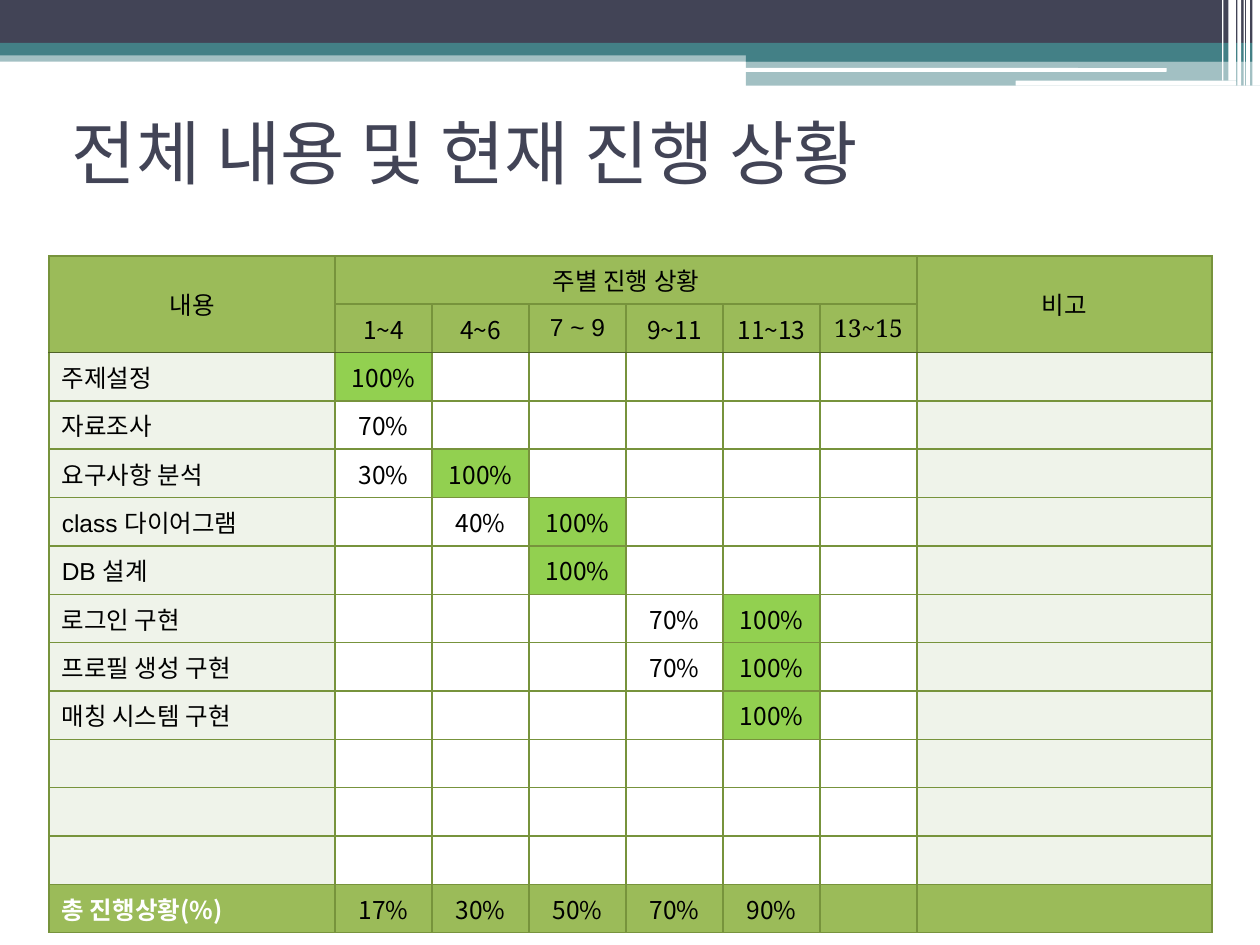
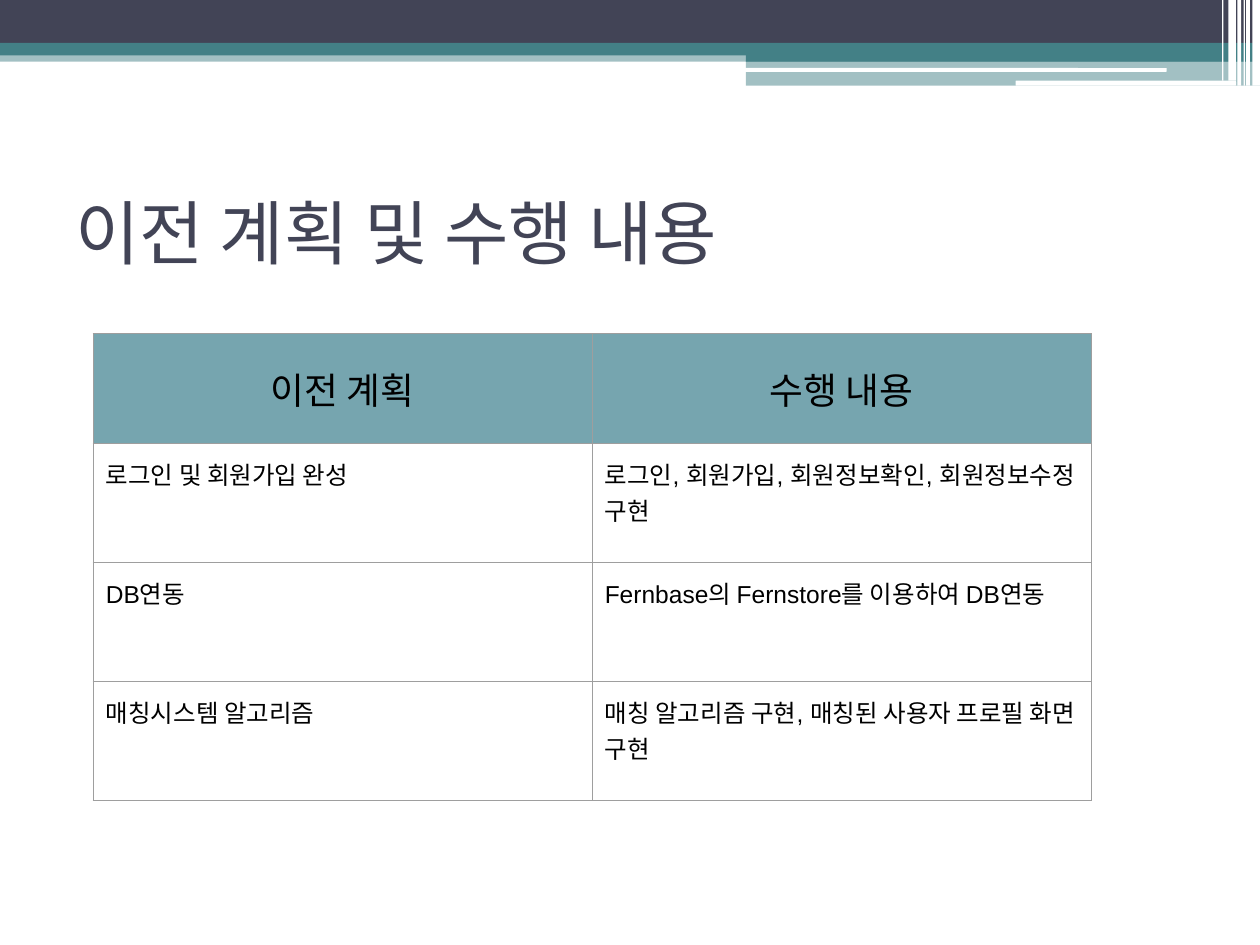
from lxml import etree
from pptx import Presentation
from pptx.dml.color import RGBColor
from pptx.enum.shapes import MSO_SHAPE
from pptx.enum.text import MSO_ANCHOR, MSO_AUTO_SIZE, PP_ALIGN
from pptx.oxml.ns import qn
from pptx.util import Inches, Pt

RECT, ROUND = MSO_SHAPE.RECTANGLE, MSO_SHAPE.ROUNDED_RECTANGLE
LEFT, CENTER = PP_ALIGN.LEFT, PP_ALIGN.CENTER
TOP, MIDDLE = MSO_ANCHOR.TOP, MSO_ANCHOR.MIDDLE

# Colours
NAVY = RGBColor(0x42, 0x44, 0x56)
TEAL = RGBColor(0x43, 0x80, 0x86)
WHITE = RGBColor(0xFF, 0xFF, 0xFF)
BLACK = RGBColor(0x00, 0x00, 0x00)
OLIVE = RGBColor(0x9B, 0xBB, 0x59)
OLIVE_LINE = RGBColor(0x77, 0x93, 0x3C)
OLIVE_DARK = RGBColor(0x4F, 0x62, 0x28)
PALE_GREEN = RGBColor(0xEF, 0xF3, 0xEA)
DONE_GREEN = RGBColor(0x92, 0xD0, 0x50)
HEADER_TEAL = RGBColor(0x76, 0xA5, 0xAF)
GREY_LINE = RGBColor(0x9E, 0x9E, 0x9E)

SANS, KOREAN, SERIF, ARIAL = "Noto Sans", "Noto Sans CJK KR", "Noto Serif", "Arial"
NO_TABLE_STYLE = "{2D5ABB26-0587-4C30-8999-92F81FD0307C}"

SLIDE_W, SLIDE_H = Inches(10), Inches(7.5)
TITLE_ONLY = 5

# Top decoration: shape, left, top, width, height, colour, opacity in percent
BANDS = [
    (RECT, 0, 0.4, 10, 0.09, TEAL, 49),
    (RECT, 0, 0, 10, 0.34, NAVY, 100),
    (RECT, 0, 0.34, 10, 0.1, TEAL, 100),
    (RECT, 5.92, 0.39, 4.08, 0.1, TEAL, 100),
    (RECT, 5.92, 0.48, 4.08, 0.2, TEAL, 49),
    (ROUND, 5.91, 0.54, 3.35, 0.03, WHITE, 100),
    (ROUND, 8.06, 0.64, 1.75, 0.04, WHITE, 100),
]
# White stripes at the right end: left, width, height
STRIPES = [(9.94, 0.06, 0.68), (9.89, 0.03, 0.68), (9.87, 0.01, 0.68),
           (9.82, 0.03, 0.68), (9.75, 0.06, 0.64), (9.7, 0.01, 0.64)]

# Progress table
WEEKS = ["1~4", "4~6", "7 ~ 9", "9~11", "11~13", "13~15"]
WEEK_FONTS = {"7 ~ 9": ARIAL, "13~15": SERIF}
TASKS = [  # task and its progress by week column
    ("주제설정", {1: "100%"}),
    ("자료조사", {1: "70%"}),
    ("요구사항 분석", {1: "30%", 2: "100%"}),
    ("class 다이어그램", {2: "40%", 3: "100%"}),
    ("DB 설계", {3: "100%"}),
    ("로그인 구현", {4: "70%", 5: "100%"}),
    ("프로필 생성 구현", {4: "70%", 5: "100%"}),
    ("매칭 시스템 구현", {5: "100%"}),
    ("", {}), ("", {}), ("", {}),
]
TOTALS = ["17%", "30%", "50%", "70%", "90%", "", ""]

# Plan table
PLANS = [
    ("이전 계획", "수행 내용"),
    ("로그인 및 회원가입 완성", "로그인, 회원가입, 회원정보확인, 회원정보수정 구현"),
    ("DB연동", "Fernbase의 Fernstore를 이용하여 DB연동"),
    ("매칭시스템 알고리즘", "매칭 알고리즘 구현, 매칭된 사용자 프로필 화면 구현"),
]


def apply(target, formats):
    for name, value in formats.items():
        setattr(target, name, value)


def set_east_asian(properties):
    etree.SubElement(properties, qn("a:ea"), typeface=KOREAN)


def write(paragraph, text, size, font, color, bold=False):
    """Put one formatted run in a paragraph, or only its size if empty."""
    if not text:
        etree.SubElement(paragraph._p, qn("a:endParaRPr"), sz=str(size * 100))
        return
    run = paragraph.add_run()
    run.text = text
    apply(run.font, {"size": Pt(size), "name": font, "bold": bold})
    run.font.color.rgb = color
    set_east_asian(run.font._element)


def add_band(slide, kind, left, top, width, height, color, opacity=100):
    band = slide.shapes.add_shape(kind, *map(Inches, (left, top, width, height)))
    band.shadow.inherit = False
    band.fill.solid()
    band.fill.fore_color.rgb = color
    band.line.fill.background()
    if opacity < 100:
        solid = band.element.spPr.find(qn("a:solidFill"))
        etree.SubElement(solid[0], qn("a:alpha"), val=str(opacity * 1000))
    return band


def decorate_layout(layout, slide):
    """Draw the bands once and hand them over to the shared layout."""
    stripes = [(RECT, left, 0, width, height, WHITE)
               for left, width, height in STRIPES]
    for spec in BANDS + stripes:
        layout.shapes.element.append(add_band(slide, *spec).element)


def set_title(slide, text, left, top):
    title = slide.shapes.title
    apply(title, {"left": Inches(left), "top": Inches(top),
                  "width": int(SLIDE_W * 0.9), "height": Inches(1.17)})
    frame = title.text_frame
    apply(frame, {"vertical_anchor": MIDDLE, "word_wrap": True,
                  "auto_size": MSO_AUTO_SIZE.NONE})
    frame.paragraphs[0].alignment = LEFT
    write(frame.paragraphs[0], text, 40, SANS, NAVY)


def add_grid(slide, left, top, columns, rows):
    """Add an unstyled table with the given column widths and row heights."""
    frame = slide.shapes.add_table(
        len(rows), len(columns), Inches(left), Inches(top),
        Inches(sum(columns)), Inches(sum(rows)))
    table = frame.table
    apply(table, {"first_row": False, "horz_banding": False})
    for style in frame.element.iter(qn("a:tableStyleId")):
        style.text = NO_TABLE_STYLE
    for column, width in zip(table.columns, columns):
        column.width = Inches(width)
    for row, height in zip(table.rows, rows):
        row.height = Inches(height)
    return table


def set_borders(cell, color, points, **sides):
    """Line all four sides; T or B may be given a colour of its own."""
    properties = cell._tc.get_or_add_tcPr()
    for place, side in enumerate("LRTB"):
        line = etree.Element(qn(f"a:ln{side}"), w=str(Pt(points)))
        solid = etree.SubElement(line, qn("a:solidFill"))
        etree.SubElement(solid, qn("a:srgbClr"), val=str(sides.get(side, color)))
        properties.insert(place, line)


def fill_cell(cell, text, size, font=KOREAN, color=BLACK, bold=False,
              fill=None, align=CENTER, anchor=MIDDLE, inset=0.05):
    apply(cell, {"vertical_anchor": anchor,
                 "margin_left": Inches(0.1), "margin_right": Inches(0.1),
                 "margin_top": Inches(inset), "margin_bottom": Inches(inset)})
    if fill is None:
        cell.fill.background()
    else:
        cell.fill.solid()
        cell.fill.fore_color.rgb = fill
    paragraph = cell.text_frame.paragraphs[0]
    paragraph.alignment = align
    write(paragraph, text, size, font, color, bold)


def progress_format(row, column, text, last_row, last_column):
    """Cell format that follows from the place in the progress table."""
    if row < 2:
        return {"fill": OLIVE, "font": WEEK_FONTS.get(text, KOREAN)}
    if row == last_row:
        total = {"fill": OLIVE}
        if column == 0:
            total.update(align=LEFT, color=WHITE, bold=True)
        return total
    if column == 0:
        return {"fill": PALE_GREEN, "align": LEFT,
                "font": ARIAL if row > 4 else KOREAN}
    if column == last_column:
        return {"fill": PALE_GREEN}
    if text == "100%":
        return {"fill": DONE_GREEN}
    return {}


def add_progress_table(slide):
    week_count = len(WEEKS)
    notes = week_count + 1
    content = [["내용", "주별 진행 상황"] + [""] * (week_count - 1) + ["비고"],
               [""] + WEEKS + [""]]
    for task, progress in TASKS:
        content.append([task] + [progress.get(c, "") for c in range(1, notes + 1)])
    content.append(["총 진행상황(%)"] + TOTALS)
    last_row = len(content) - 1

    table = add_grid(slide, 0.39, 2.03, [2.27] + [0.77] * week_count + [2.34],
                     [5.37 / len(content)] * len(content))
    for r, texts in enumerate(content):
        # A darker rule parts the header from the tasks
        rule = {1: {"B": OLIVE_DARK}, 2: {"T": OLIVE_DARK}}.get(r, {})
        for c, text in enumerate(texts):
            cell = table.cell(r, c)
            fill_cell(cell, text, 14,
                      **progress_format(r, c, text, last_row, notes))
            set_borders(cell, OLIVE_LINE, 1, **rule)

    # Header spans
    table.cell(0, 0).merge(table.cell(1, 0))
    table.cell(0, 1).merge(table.cell(0, week_count))
    table.cell(0, notes).merge(table.cell(1, notes))


def add_plan_table(slide):
    table = add_grid(slide, 0.74, 2.65, [3.96] * 2, [0.87] + [0.945] * 3)
    header = {"size": 21, "fill": HEADER_TEAL}
    body = {"size": 14, "align": LEFT, "anchor": TOP}
    for r, texts in enumerate(PLANS):
        for c, text in enumerate(texts):
            cell = table.cell(r, c)
            fill_cell(cell, text, font=ARIAL, inset=0.1,
                      **(body if r else header))
            set_borders(cell, GREY_LINE, 0.75)


def main():
    deck = Presentation()
    apply(deck, {"slide_width": SLIDE_W, "slide_height": SLIDE_H})
    layout = deck.slide_layouts[TITLE_ONLY]

    # Overall progress
    progress = deck.slides.add_slide(layout)
    decorate_layout(layout, progress)
    set_title(progress, "전체 내용 및 현재 진행 상황", 0.47, 0.62)
    add_progress_table(progress)

    # Earlier plan and what was done
    plan = deck.slides.add_slide(layout)
    set_title(plan, "이전 계획 및 수행 내용", 0.5, 1.25)
    add_plan_table(plan)

    deck.save("out.pptx")


if __name__ == "__main__":
    main()
